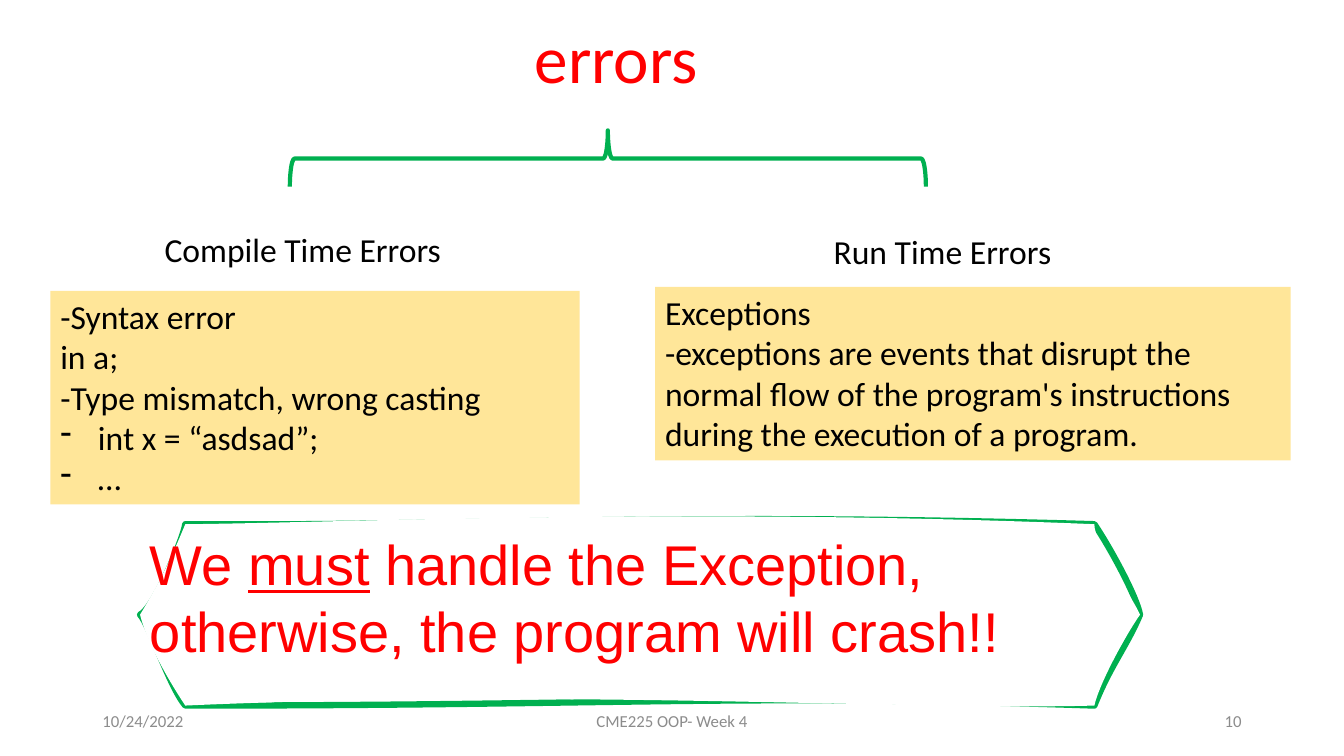
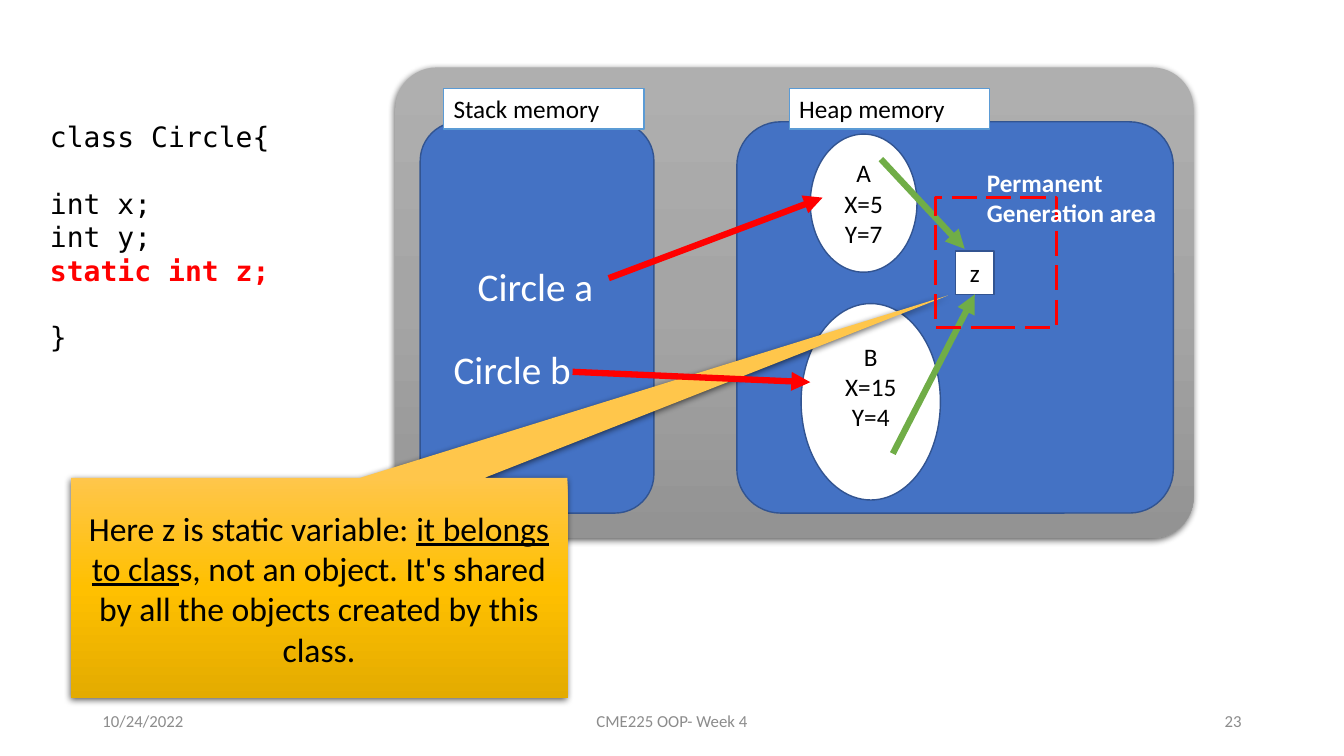
from copy import deepcopy

from lxml.etree import SubElement
from pptx import Presentation
from pptx.dml.color import RGBColor
from pptx.enum.dml import MSO_LINE
from pptx.enum.shapes import MSO_CONNECTOR, MSO_SHAPE
from pptx.enum.text import MSO_ANCHOR, MSO_AUTO_SIZE, PP_ALIGN
from pptx.oxml.ns import qn
from pptx.util import Cm, Pt

COLORS = {
    "black": "000000", "white": "FFFFFF", "red": "FF0000", "footer": "8C8C8C",
    "note": "FFE699", "sketch": "00B050", "memory": "4472C4", "edge": "325491",
    "label edge": "5B9BD5", "reference": "70AD47",
}
GRADIENTS = {
    "panel": ["AFAFAF", "A5A5A5", "939393"],
    "callout": ["FFC64B", "FFC000", "E3AB00"],
}
COLORS = {name: RGBColor.from_string(value) for name, value in COLORS.items()}
LEFT, CENTER, RIGHT = PP_ALIGN.LEFT, PP_ALIGN.CENTER, PP_ALIGN.RIGHT
TOP, MIDDLE = MSO_ANCHOR.TOP, MSO_ANCHOR.MIDDLE

# Text styles: font attributes plus colour
BODY = {"name": "Calibri", "size": Pt(24), "color": "black"}
SMALL = {**BODY, "size": Pt(18)}
FOOTER = {**BODY, "size": Pt(12), "color": "footer"}
TITLE = {**BODY, "size": Pt(48), "color": "red"}
WARNING = {"name": "Arial", "size": Pt(40), "color": "red"}
CODE = {"name": "DejaVu Sans Mono", "size": Pt(20), "color": "black"}
VARIABLE = {**BODY, "size": Pt(28), "color": "white"}
AREA = {**SMALL, "color": "white", "bold": True}


def write(frame, lines, style, align=LEFT, anchor=TOP, **frame_format):
    """Fill a frame; a line is a string or a list of (text, font changes)."""
    settings = {"word_wrap": True, "auto_size": MSO_AUTO_SIZE.NONE,
                "vertical_anchor": anchor, **frame_format}
    for name, value in settings.items():
        setattr(frame, name, value)
    for index, line in enumerate(lines):
        paragraph = frame.add_paragraph() if index else frame.paragraphs[0]
        paragraph.alignment = align
        for text, changes in [(line, {})] if isinstance(line, str) else line:
            if text == "\n":
                paragraph.add_line_break()
                continue
            run = paragraph.add_run()
            run.text = text
            for name, value in {**style, **changes}.items():
                if name == "color":
                    run.font.color.rgb = COLORS[value]
                else:
                    setattr(run.font, name, value)


def add_box(slide, preset, place, fill=None, line=None, width=1):
    """Add a preset shape, or a text box when preset is None."""
    place = [Cm(value) for value in place]
    if preset is None:
        box = slide.shapes.add_textbox(*place)
    else:
        box = slide.shapes.add_shape(preset, *place)
        box.shadow.inherit = False
    if fill in GRADIENTS:
        box.fill.gradient()
        box.fill.gradient_angle = 270
        stops = box._element.spPr.find(qn("a:gradFill")).find(qn("a:gsLst"))
        for stop in list(stops):
            stops.remove(stop)
        for position, value in zip((0, 50000, 100000), GRADIENTS[fill]):
            stop = SubElement(stops, qn("a:gs"), pos=str(position))
            SubElement(stop, qn("a:srgbClr"), val=value)
        # Gradient boxes also cast a soft shadow downwards
        effects = box._element.spPr.find(qn("a:effectLst"))
        shadow = SubElement(effects, qn("a:outerShdw"), blurRad=str(Pt(4.5)),
                            dist=str(Pt(1.5)), dir="5400000", rotWithShape="0")
        shade = SubElement(shadow, qn("a:srgbClr"), val="000000")
        SubElement(shade, qn("a:alpha"), val="63000")
    elif fill:
        box.fill.solid()
        box.fill.fore_color.rgb = COLORS[fill]
    else:
        box.fill.background()
    if line:
        box.line.color.rgb = COLORS[line]
        box.line.width = Pt(width)
    else:
        box.line.fill.background()
    return box


deck = Presentation()
deck.slide_width, deck.slide_height = Cm(33.87), Cm(19.05)
errors = deck.slides.add_slide(deck.slide_layouts[5])
memory = deck.slides.add_slide(deck.slide_layouts[6])

# Footers
for slide, number in ((errors, "10"), (memory, "23")):
    for left, width, text, align in (
        (2.33, 7.62, "10/24/2022", LEFT),
        (11.22, 11.43, "CME225 OOP- Week 4", CENTER),
        (23.92, 7.62, number, RIGHT),
    ):
        footer = add_box(slide, None, (left, 17.65, width, 1.01))
        write(footer.text_frame, [text], FOOTER, align, MIDDLE)

# Errors: the two kinds, in freeform frames
for left, top, width, text in (
    (18.85, 5.13, 9.8, "Run Time Errors"),
    (3.4, 5.08, 8.46, "Compile Time Errors"),
):
    right, bottom = left + width, top + 2.54
    builder = errors.shapes.build_freeform(Cm(left), Cm(top))
    builder.add_line_segments([(Cm(x), Cm(y)) for x, y in (
        (right, top), (right, bottom), (left, bottom))], close=True)
    kind = builder.convert_to_shape()
    kind.shadow.inherit = False
    kind.fill.background()
    kind.line.fill.background()
    write(kind.text_frame, [text], BODY, CENTER, MIDDLE, margin_left=Cm(0.03),
          margin_right=Cm(0.03), margin_top=Cm(0.03), margin_bottom=Cm(0.03))
    kind.text_frame.paragraphs[0].line_spacing = 0.9

# Errors: title in the same kind of frame, and the brace that splits it
title = errors.shapes.title
title.left, title.top, title.width, title.height = Cm(10.31), Cm(0.36), Cm(10.44), Cm(2.38)
title._element.spPr.insert(1, deepcopy(kind._element.spPr.find(qn("a:custGeom"))))
title.line.color.rgb = COLORS["white"]
title.line.width = Pt(1)
write(title.text_frame, ["errors"], TITLE, CENTER, MIDDLE, margin_left=Cm(0.08),
      margin_right=Cm(0.08), margin_top=Cm(0.08), margin_bottom=Cm(0.08))
title.text_frame.paragraphs[0].line_spacing = 0.9
brace = add_box(errors, MSO_SHAPE.RIGHT_BRACE, (14.61, -4.02, 1.42, 16.03), None, "sketch", 3)
brace.rotation = 270

# Errors: notes on each kind
compile_note = add_box(errors, None, (1.27, 7.33, 13.34, 5.38), "note")
write(compile_note.text_frame, [
    "-Syntax error", "in a;", "-Type mismatch, wrong casting", "int x = “asdsad”;", "…",
], BODY)
for paragraph in compile_note.text_frame.paragraphs[3:]:
    properties = paragraph._p.get_or_add_pPr()
    properties.set("marL", str(Cm(0.95)))
    properties.set("indent", str(-Cm(0.95)))
    SubElement(properties, qn("a:buFontTx"))
    SubElement(properties, qn("a:buChar"), char="-")

run_note = add_box(errors, None, (16.51, 7.23, 16.02, 4.37), "note")
write(run_note.text_frame, [
    "Exceptions",
    "-exceptions are events that disrupt the normal flow of the program's"
    " instructions during the execution of a program.",
], BODY)

# Errors: hand-drawn hexagon, one path for the outline and one for the area
corners = [(3.53, 15.49), (4.67, 13.21), (27.58, 13.21),
           (28.73, 15.49), (27.58, 17.78), (4.67, 17.78)]
outline_bends = [
    ((3.89, 15.32), (4.62, 13.56)), ((11.81, 13.26), (16.97, 12.9)),
    ((27.99, 13.82), (28.65, 15.04)), ((28.4, 16.28), (27.97, 16.79)),
    ((18.47, 17.48), (15.85, 17.78)), ((4.27, 17.3), (3.78, 15.77)),
]
area_bends = [
    ((4.11, 14.55), (4.45, 13.74)), ((8.36, 13.18), (17.2, 12.78)),
    ((27.56, 13.67), (28.52, 15.01)), ((28.32, 16.08), (27.69, 17.27)),
    ((22.91, 17.91), (14.3, 17.35)), ((4.32, 17.25), (3.73, 16.28)),
]
builder = errors.shapes.build_freeform(*[Cm(value) for value in corners[0]])
builder.add_line_segments([(Cm(x), Cm(y)) for x, y in corners[1:]], close=True)
warning = builder.convert_to_shape()
paths = warning._element.spPr.find(qn("a:custGeom")).find(qn("a:pathLst"))
paths.remove(paths[0])
for bends, paint in ((outline_bends, {"fill": "none"}), (area_bends, {"stroke": "0"})):
    outline = SubElement(paths, qn("a:path"), w=str(warning.width),
                         h=str(warning.height), **paint)
    steps = [("a:moveTo", corners[:1])]
    for bend, corner in zip(bends, corners[1:] + corners[:1]):
        steps.append(("a:cubicBezTo", [*bend, corner]))
    for command, points in steps:
        step = SubElement(outline, qn(command))
        for x, y in points:
            SubElement(step, qn("a:pt"), x=str(Cm(x) - warning.left),
                       y=str(Cm(y) - warning.top))
    SubElement(outline, qn("a:close"))
warning.shadow.inherit = False
warning.fill.solid()
warning.fill.fore_color.rgb = COLORS["white"]
warning.line.color.rgb = COLORS["sketch"]
warning.line.width = Pt(4.5)
write(warning.text_frame, [
    [("We ", {}), ("must", {"underline": True}), (" handle the Exception,", {})],
    "otherwise, the program will crash!!",
], WARNING)

# Memory: panel with stack and heap
for place, corner, fill, line in (
    ((9.96, 1.7, 20.12, 11.86), 0.088, "panel", None),
    ((10.59, 3.07, 5.89, 9.86), 0.167, "memory", "edge"),
    ((18.57, 3.07, 11, 9.86), 0.112, "memory", "edge"),
):
    region = add_box(memory, MSO_SHAPE.ROUNDED_RECTANGLE, place, fill, line)
    region.adjustments[0] = corner

# Memory: objects on the heap
for place, lines, margin_bottom in (
    ((20.19, 7.65, 3.51, 4.95), ["B", "X=15", "Y=4"], 0.9),
    ((20.42, 3.38, 2.69, 3.48), ["A", "X=5", "Y=7"], 0.13),
):
    instance = add_box(memory, MSO_SHAPE.OVAL, place, "white", "edge")
    write(instance.text_frame, lines, SMALL, CENTER, MIDDLE, margin_bottom=Cm(margin_bottom))
static_z = add_box(memory, MSO_SHAPE.RECTANGLE, (24.08, 6.33, 0.97, 1.09), "white", "edge")
write(static_z.text_frame, ["z"], SMALL, CENTER, MIDDLE)

# Memory: class source
source = add_box(memory, None, (1.01, 2.89, 8.43, 6.25))
write(source.text_frame, [
    "class Circle{", "int x;", "int y;",
    [("static int z;", {"color": "red", "bold": True})], "}",
], CODE)
for index in (1, 4):
    source.text_frame.paragraphs[index].space_before = Pt(23.5)

# Memory: labels and variables
for left, text in ((11.18, "Stack memory"), (19.89, "Heap memory")):
    label = add_box(memory, None, (left, 2.23, 5.05, 1.02), "white", "label edge")
    write(label.text_frame, [text], SMALL)
for left, top, width, text in ((11.79, 6.48, 3.45, "Circle a"), (11.18, 8.58, 3.51, "Circle b")):
    variable = add_box(memory, None, (left, top, width, 1.45))
    write(variable.text_frame, [text], VARIABLE, word_wrap=False)

# Memory: explanation of the static variable
callout = add_box(memory, MSO_SHAPE.RECTANGULAR_CALLOUT, (1.78, 12.04, 12.52, 5.56), "callout")
callout.adjustments[0], callout.adjustments[1] = 1.267, -1.327
write(callout.text_frame, [[
    ("Here z is static variable: ", {}),
    ("it belongs to clas", {"underline": True}),
    ("s, not an object. It's shared by all the objects created by this class.", {}),
]], BODY, CENTER, MIDDLE)

# Memory: references
for start, end, color, target in (
    ((22.2, 4.01), (24.31, 6.27), "reference", None),
    ((22.5, 11.43), (24.56, 7.42), "reference", static_z),
    ((14.43, 9.37), (20.42, 9.63), "red", None),
    ((15.34, 7.01), (20.73, 4.98), "red", None),
):
    ends = [Cm(value) for value in start + end]
    reference = memory.shapes.add_connector(MSO_CONNECTOR.STRAIGHT, *ends)
    if target:
        reference.end_connect(target, 2)
    reference.line.color.rgb = COLORS[color]
    reference.line.width = Pt(4.5)
    line = reference._element.spPr.find(qn("a:ln"))
    SubElement(line, qn("a:tailEnd"), type="triangle")
    SubElement(reference._element.spPr, qn("a:effectLst"))

# Memory: permanent generation area
permanent = add_box(memory, MSO_SHAPE.RECTANGLE, (23.57, 4.98, 3.05, 3.28), None, "red", 2.25)
permanent.line.dash_style = MSO_LINE.LONG_DASH
permanent_label = add_box(memory, None, (24.62, 4.09, 7.85, 1.8))
write(permanent_label.text_frame,
      [[("Permanent ", {}), ("\n", {}), ("Generation area", {})]], AREA)

deck.save("out.pptx")
